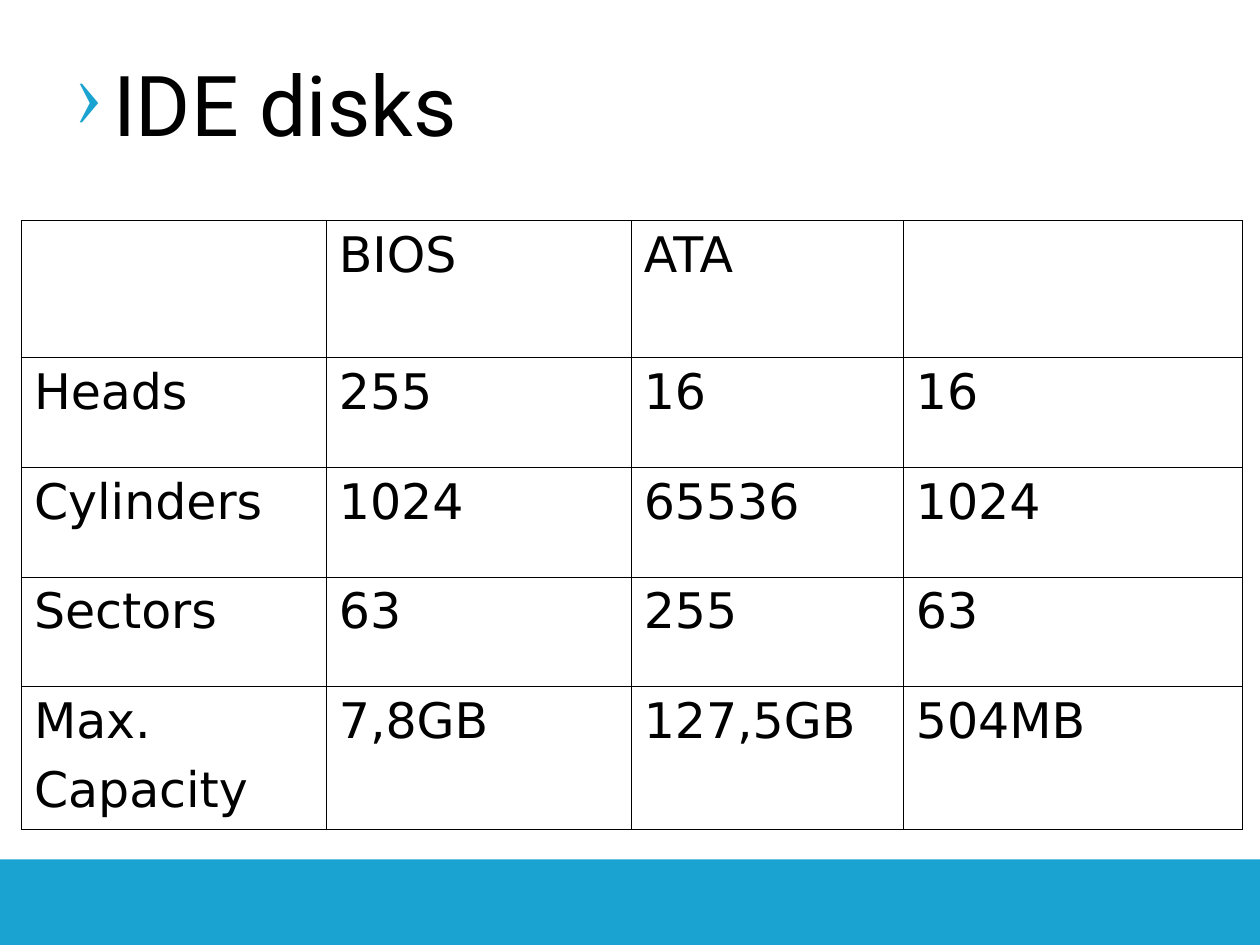
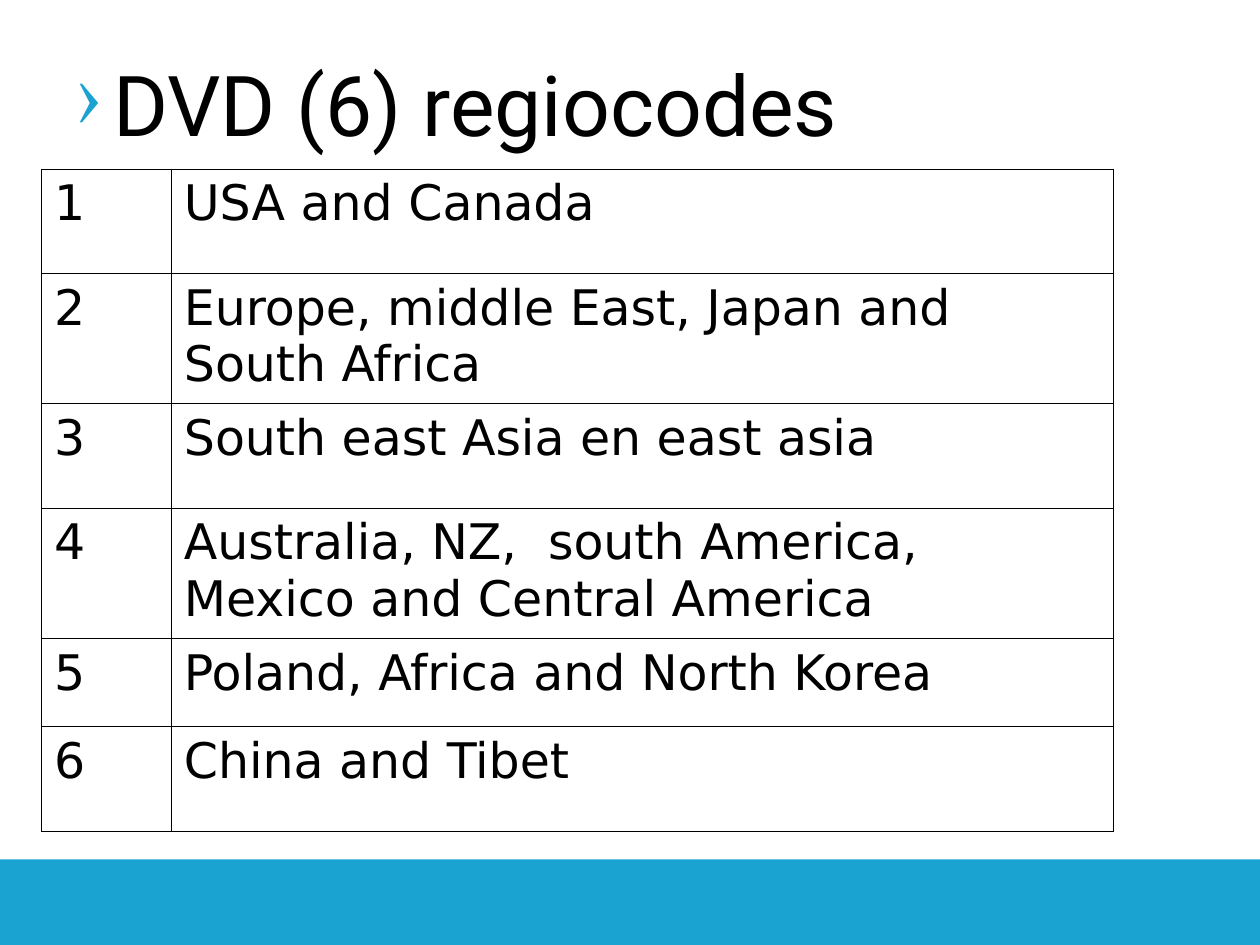
from dataclasses import dataclass

from lxml import etree
from pptx import Presentation
from pptx import util as u
from pptx.dml.color import RGBColor
from pptx.enum import shapes, text
from pptx.oxml.ns import qn

# The slide is a grid of 10 columns by 7.5 rows, one inch each.
COLUMNS, ROWS = 10, 7.5
BAND_ROWS = 0.68
ACCENT, INK, PAPER = "1AA3D1", "000000", "FFFFFF"
TITLE_FONT = {"name": "Roboto", "size": u.Pt(48)}
CELL_FONT = {"name": "DejaVu Sans", "size": u.Pt(28)}
CELL_FORMAT = {
    "margin_left": u.Inches(0.1),
    "margin_right": u.Inches(0.1),
    "margin_top": u.Inches(0.05),
    "margin_bottom": u.Inches(0.05),
    "vertical_anchor": text.MSO_ANCHOR.TOP,
}
TABLE_FORMAT = {"first_row": False, "horz_banding": False}
TITLE_FORMAT = {"word_wrap": True, "vertical_anchor": text.MSO_ANCHOR.MIDDLE}
TITLE_INDENT = u.Inches(0.3)
LINE_GAP = u.Pt(7)
BORDER_WIDTH = u.Pt(0.45)


@dataclass(frozen=True)
class TableSlide:
    title: str
    left: float
    top: float
    widths: tuple[float, ...]
    heights: tuple[float, ...]
    rows: tuple[tuple[str, ...], ...]


SLIDES = (
    TableSlide(
        "IDE disks", 0.17, 1.75,
        (2.42, 2.42, 2.16, 2.69), (1.09, 0.87, 0.87, 0.87, 1.13),
        (
            ("", "BIOS", "ATA", ""),
            ("Heads", "255", "16", "16"),
            ("Cylinders", "1024", "65536", "1024"),
            ("Sectors", "63", "255", "63"),
            ("Max.\nCapacity", "7,8GB", "127,5GB", "504MB"),
        ),
    ),
    TableSlide(
        "DVD (6) regiocodes", 0.33, 1.34,
        (1.03, 7.48), (0.83, 1.03, 0.83, 1.03, 0.7, 0.83),
        (
            ("1", "USA and Canada"),
            ("2", "Europe, middle East, Japan and South Africa"),
            ("3", "South east Asia en east asia"),
            ("4", "Australia, NZ,  south America, Mexico and Central America"),
            ("5", "Poland, Africa and North Korea"),
            ("6", "China and Tibet"),
        ),
    ),
)


def colour(hex_value: str) -> RGBColor:
    return RGBColor.from_string(hex_value)


def apply_format(target, values: dict) -> None:
    for name, value in values.items():
        setattr(target, name, value)


def style_font(font, values: dict) -> None:
    apply_format(font, values)
    font.color.rgb = colour(INK)


def grid(*lengths: float) -> list[int]:
    return [u.Inches(length) for length in lengths]


def add_hex_colour(parent, hex_value: str) -> None:
    etree.SubElement(parent, qn("a:srgbClr"), val=hex_value)


def add_band(slide) -> None:
    band = slide.shapes.add_shape(
        shapes.MSO_SHAPE.RECTANGLE, *grid(0, ROWS - BAND_ROWS, COLUMNS, BAND_ROWS))
    band.shadow.inherit = False
    band.fill.solid()
    band.fill.fore_color.rgb = colour(ACCENT)
    band.line.fill.background()


def add_title(slide, title: str) -> None:
    frame = slide.shapes.add_textbox(*grid(0.5, 0.19, COLUMNS - 1, 1.25)).text_frame
    apply_format(frame, TITLE_FORMAT)
    paragraph = frame.paragraphs[0]
    paragraph.text = title
    properties = paragraph._p.get_or_add_pPr()
    properties.set("marL", str(TITLE_INDENT))
    properties.set("indent", str(-TITLE_INDENT))
    add_hex_colour(etree.SubElement(properties, qn("a:buClr")), ACCENT)
    etree.SubElement(properties, qn("a:buChar"), char="›")
    style_font(paragraph.runs[0].font, TITLE_FONT)


def add_borders(cell) -> None:
    """Draw all four sides; the lines must come before the cell's fill."""
    properties = cell._tc.get_or_add_tcPr()
    for position, side in enumerate(("lnL", "lnR", "lnT", "lnB")):
        line = etree.Element(qn(f"a:{side}"), w=str(BORDER_WIDTH))
        add_hex_colour(etree.SubElement(line, qn("a:solidFill")), INK)
        properties.insert(position, line)


def fill_cell(cell, content: str) -> None:
    apply_format(cell, CELL_FORMAT)
    cell.fill.background()
    add_borders(cell)
    cell.text_frame.text = content
    for index, paragraph in enumerate(cell.text_frame.paragraphs):
        if index:
            paragraph.space_before = LINE_GAP
        style_font(paragraph.font, CELL_FONT)
        for run in paragraph.runs:
            style_font(run.font, CELL_FONT)


def add_data_table(slide, content: TableSlide) -> None:
    table = slide.shapes.add_table(
        len(content.heights), len(content.widths),
        *grid(content.left, content.top, sum(content.widths), sum(content.heights))).table
    apply_format(table, TABLE_FORMAT)
    for column, width in zip(table.columns, grid(*content.widths)):
        column.width = width
    for row, height, values in zip(table.rows, grid(*content.heights), content.rows):
        row.height = height
        for cell, value in zip(row.cells, values):
            fill_cell(cell, value)


def main() -> None:
    deck = Presentation()
    deck.slide_width, deck.slide_height = grid(COLUMNS, ROWS)
    for content in SLIDES:
        slide = deck.slides.add_slide(deck.slide_layouts[6])
        slide.background.fill.solid()
        slide.background.fill.fore_color.rgb = colour(PAPER)
        add_band(slide)
        add_title(slide, content.title)
        add_data_table(slide, content)
    deck.save("out.pptx")


if __name__ == "__main__":
    main()
